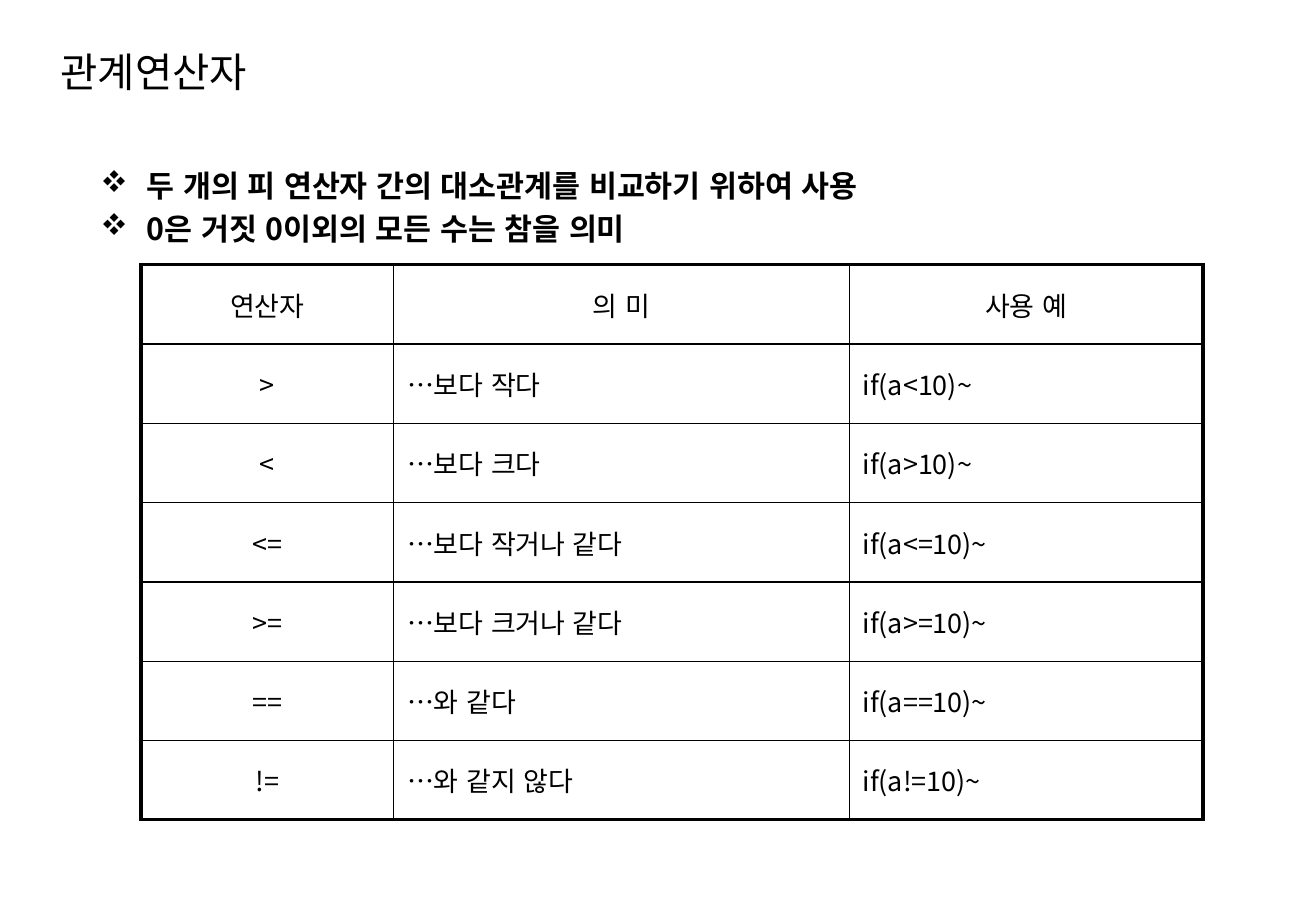
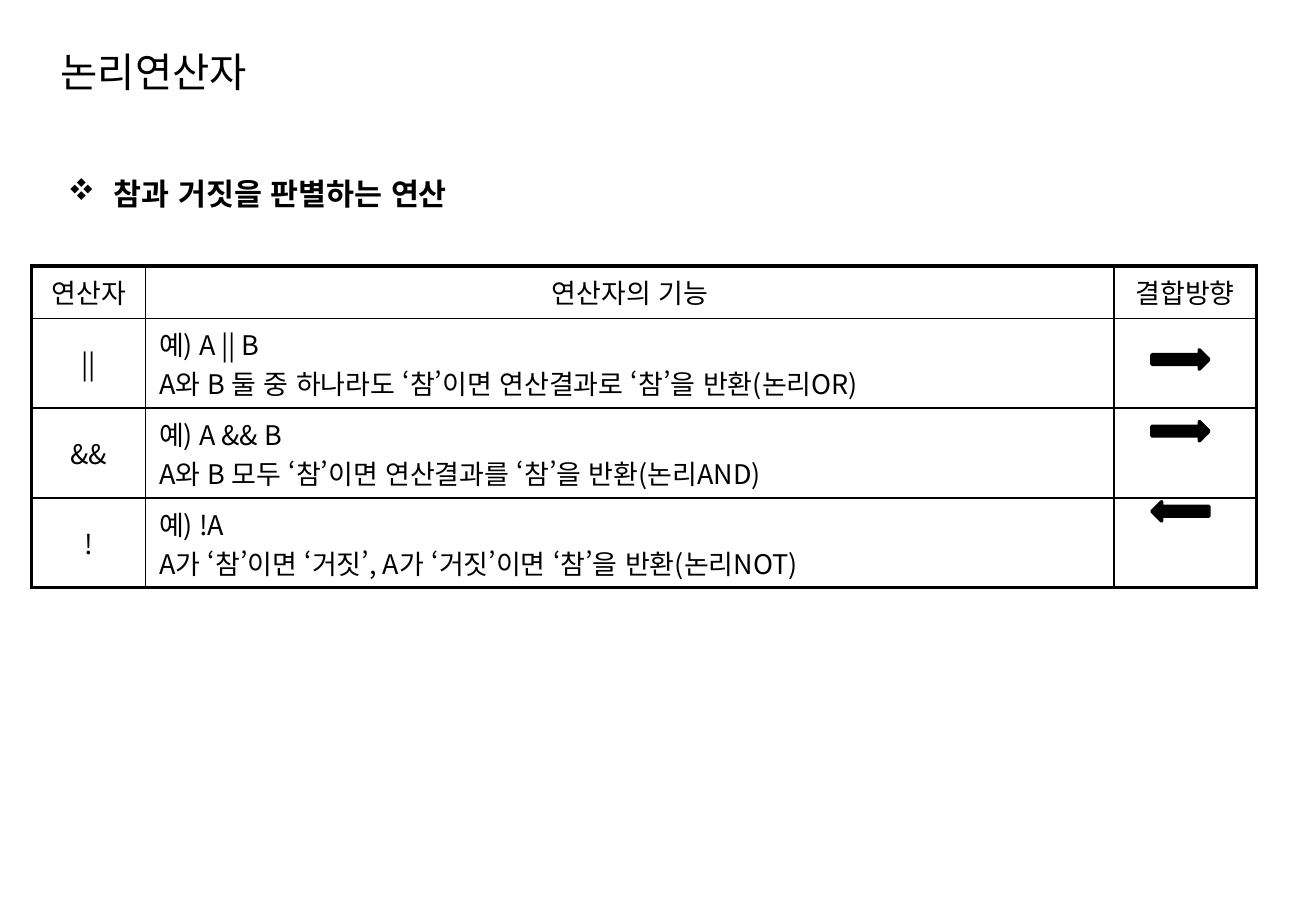
from dataclasses import dataclass
from lxml import etree
from pptx import Presentation
from pptx.dml.color import RGBColor
from pptx.enum import lang, shapes, text
from pptx.oxml import ns
from pptx.util import Inches, Pt


@dataclass(frozen=True)
class Theme:
    ink: str = "000000"
    sans: str = "Noto Sans CJK KR"
    serif: str = "Times New Roman"
    title: int = 24
    body: int = 18
    cell: int = 16
    thin: float = 1
    thick: float = 2.25


theme = Theme()
INK = RGBColor.from_string(theme.ink)
RIGHT = shapes.MSO_SHAPE.RIGHT_ARROW
LEFT = shapes.MSO_SHAPE.LEFT_ARROW

# Content: a cell is a list of lines
compare = [(">", "보다 작다", "a<10"), ("<", "보다 크다", "a>10"),
           ("<=", "보다 작거나 같다", "a<=10"), (">=", "보다 크거나 같다", "a>=10"),
           ("==", "와 같다", "a==10"), ("!=", "와 같지 않다", "a!=10")]
logic = [("||", "A || B", "A와 B 둘 중 하나라도 ‘참’이면 연산결과로 ‘참’을 반환(논리OR)"),
         ("&&", "A && B", "A와 B 모두 ‘참’이면 연산결과를 ‘참’을 반환(논리AND)"),
         ("!", "!A", "A가 ‘참’이면 ‘거짓’, A가 ‘거짓’이면 ‘참’을 반환(논리NOT)")]

pages = [
    dict(title="관계연산자", body=(0.73, 1.33),
         points=["두 개의 피 연산자 간의 대소관계를 비교하기 위하여 사용",
                 "0은 거짓 0이외의 모든 수는 참을 의미"],
         spot=(1.16, 2.18), cols=[2.08, 3.75, 2.91], rows=[4.57 / 7] * 7,
         grid=[[["연산자"], ["의 미"], ["사용 예"]]]
         + [[[op], ["…" + what], [f"if({test})~"]] for op, what, test in compare],
         arrows=[]),
    dict(title="논리연산자", body=(0.46, 1.39),
         points=["참과 거짓을 판별하는 연산"],
         spot=(0.26, 2.19), cols=[0.94, 7.97, 1.17], rows=[0.43] + [0.74] * 3,
         grid=[[["연산자"], ["연산자의 기능"], ["결합방향"]]]
         + [[[op], ["예) " + sample, what], []] for op, sample, what in logic],
         arrows=[(RIGHT, 2.88), (RIGHT, 3.47), (LEFT, 4.13)]),
]


def add(parent, tag, **attrs):
    return etree.SubElement(parent, ns.qn("a:" + tag), attrs)


def write(para, words, size, face=theme.sans, bold=False):
    run = para.add_run()
    run.text = words
    font = run.font
    font.size, font.bold, font.name = Pt(size), bold, face
    font.language_id = lang.MSO_LANGUAGE_ID.KOREAN
    font.color.rgb = INK
    add(run._r.get_or_add_rPr(), "ea", typeface=theme.sans)


def box(slide, x, y, wide, high, anchor):
    frame = slide.shapes.add_textbox(*map(Inches, (x, y, wide, high))).text_frame
    frame.word_wrap = True
    frame.vertical_anchor = anchor
    return frame


def lines(frame, items):
    """Yield a paragraph for each item."""
    for i, item in enumerate(items):
        yield (frame.add_paragraph() if i else frame.paragraphs[0]), item


def bullet(para):
    props = para._p.get_or_add_pPr()
    props.set("marL", str(Inches(0.38)))
    props.set("indent", str(-Inches(0.38)))
    add(add(props, "spcBef"), "spcPct", val="20000")
    add(props, "buFont", typeface="Wingdings", charset="2")
    add(props, "buChar", char="v")


def edge(cell, sides):
    """Cell borders go ahead of the cell fill."""
    props = cell._tc.get_or_add_tcPr()
    for i, (side, width) in enumerate(sides):
        line = add(props, "ln" + side, w=str(Pt(width)))
        add(add(line, "solidFill"), "srgbClr", val=theme.ink)
        props.insert(i, line)


def table(slide, page):
    cols, rows, grid = page["cols"], page["rows"], page["grid"]
    size = (*page["spot"], sum(cols), sum(rows))
    tab = slide.shapes.add_table(len(rows), len(cols), *map(Inches, size)).table
    tab.first_row = tab.horz_banding = False
    for col, wide in zip(tab.columns, cols):
        col.width = Inches(wide)
    for row, high in zip(tab.rows, rows):
        row.height = Inches(high)
    for r, row in enumerate(grid):
        for c, words in enumerate(row):
            cell = tab.cell(r, c)
            cell.fill.background()
            cell.vertical_anchor = text.MSO_ANCHOR.MIDDLE
            cell.margin_left = cell.margin_right = Inches(0.11)
            cell.margin_top = cell.margin_bottom = Inches(0.05)
            outer = dict(L=c == 0, R=c == len(cols) - 1,
                         T=r == 0, B=r == len(rows) - 1)
            edge(cell, [(side, theme.thick if out else theme.thin)
                        for side, out in outer.items()])
            for para, line in lines(cell.text_frame, words):
                if r == 0 or c == 0:
                    para.alignment = text.PP_ALIGN.CENTER
                if line.startswith("…"):
                    write(para, "…", theme.cell, theme.serif)
                    line = line[1:]
                write(para, line, theme.cell)


def arrow(slide, kind, y):
    shape = slide.shapes.add_shape(kind, *map(Inches, (9.48, y, 0.47, 0.16)))
    shape.shadow.inherit = False
    shape.fill.solid()
    shape.fill.fore_color.rgb = INK
    shape.line.color.rgb = INK
    shape.line.width = Pt(2)
    add(shape.line._get_or_add_ln(), "round")


deck = Presentation()
deck.slide_width, deck.slide_height = Inches(10.83), Inches(7.5)
for page in pages:
    slide = deck.slides.add_slide(deck.slide_layouts[6])
    # Title
    head = box(slide, 0.4, 0.32, 6.26, 0.54, text.MSO_ANCHOR.MIDDLE)
    write(head.paragraphs[0], page["title"], theme.title)
    # Bullets
    body = box(slide, *page["body"], 9.33, 5.58, text.MSO_ANCHOR.TOP)
    for para, point in lines(body, page["points"]):
        bullet(para)
        write(para, point, theme.body, bold=True)
    # Table and arrows
    table(slide, page)
    for kind, y in page["arrows"]:
        arrow(slide, kind, y)
deck.save("out.pptx")
